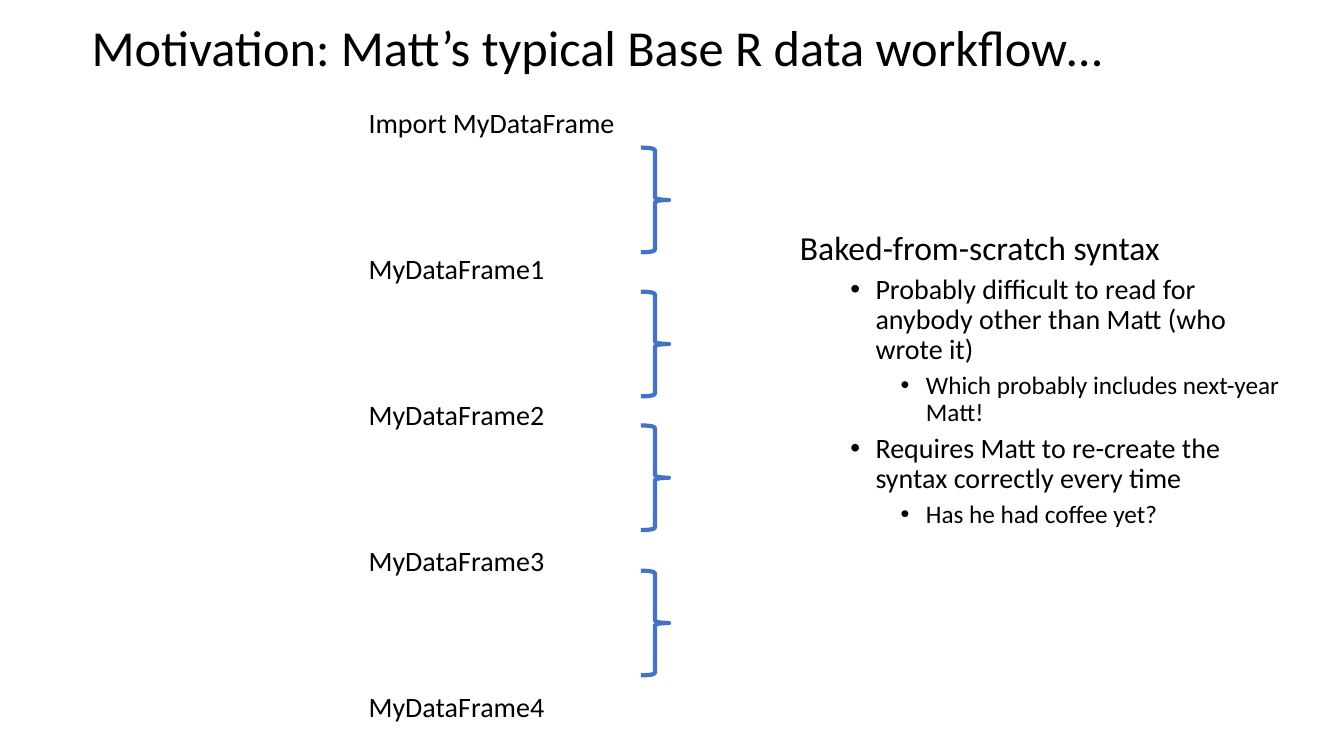
from lxml.etree import SubElement
from pptx import Presentation
from pptx.dml.color import RGBColor
from pptx.enum.shapes import MSO_SHAPE
from pptx.enum.text import MSO_ANCHOR
from pptx.oxml.ns import qn
from pptx.util import Cm, Pt


def color(hex_string):
    return RGBColor.from_string(hex_string)


def add_text(left, top, width, height, lines, sizes):
    """Add a wrapping text box with one paragraph per line and return it."""
    box = page.shapes.add_textbox(Cm(left), Cm(top), Cm(width), Cm(height))
    box.text_frame.word_wrap = True
    box.text_frame.text = "\n".join(lines)
    for para, size in zip(box.text_frame.paragraphs, sizes):
        for span in para.runs:
            span.font.name = "Calibri"
            span.font.size = Pt(size)
            span.font.color.rgb = color("000000")
    return box


deck = Presentation()
deck.slide_width, deck.slide_height = Cm(33.87), Cm(19.05)
page = deck.slides.add_slide(deck.slide_layouts[6])

title = add_text(2.06, 0, 29.21, 2.54,
                 ["Motivation: Matt’s typical Base R data workflow…"], [36])
title.text_frame.vertical_anchor = MSO_ANCHOR.MIDDLE
title.text_frame.paragraphs[0].line_spacing = 0.9

# Workflow steps, evenly spaced down the page
steps = ["Import MyDataFrame"] + [f"MyDataFrame{number}" for number in range(1, 5)]
for index, step in enumerate(steps):
    add_text(9.04, 2.54 + 3.68 * index, 6.91, 1.11, [step], [20])

# Braces between the steps
for top in (3.72, 7.35, 10.72, 14.38):
    brace = page.shapes.add_shape(MSO_SHAPE.RIGHT_BRACE, Cm(16.15), Cm(top), Cm(0.71), Cm(2.64))
    brace.shadow.inherit = False
    brace.fill.background()
    brace.line.color.rgb = color("4472C4")
    brace.line.width = Pt(3)

# Comments on the workflow: (level, text)
comments = [
    (0, "Baked-from-scratch syntax"),
    (1, "Probably difficult to read for anybody other than Matt (who wrote it)"),
    (2, "Which probably includes next-year Matt!"),
    (1, "Requires Matt to re-create the syntax correctly every time"),
    (2, "Has he had coffee yet?"),
]
level_sizes = [24, 20, 18]
comment_box = add_text(19.91, 5.72, 12.75, 8.51,
                       [text for level, text in comments],
                       [level_sizes[level] for level, text in comments])
for para, (level, text) in zip(comment_box.text_frame.paragraphs, comments):
    para.line_spacing = 0.9
    if level:
        para.level = level
        para.space_before = Pt(5)
        properties = para._p.get_or_add_pPr()
        properties.set("marL", str(Cm(1.27 * level + 0.635)))
        properties.set("indent", str(Cm(-0.635)))
        SubElement(properties, qn("a:buFont"), typeface="Arial")
        SubElement(properties, qn("a:buChar"), char="•")

deck.save("out.pptx")
